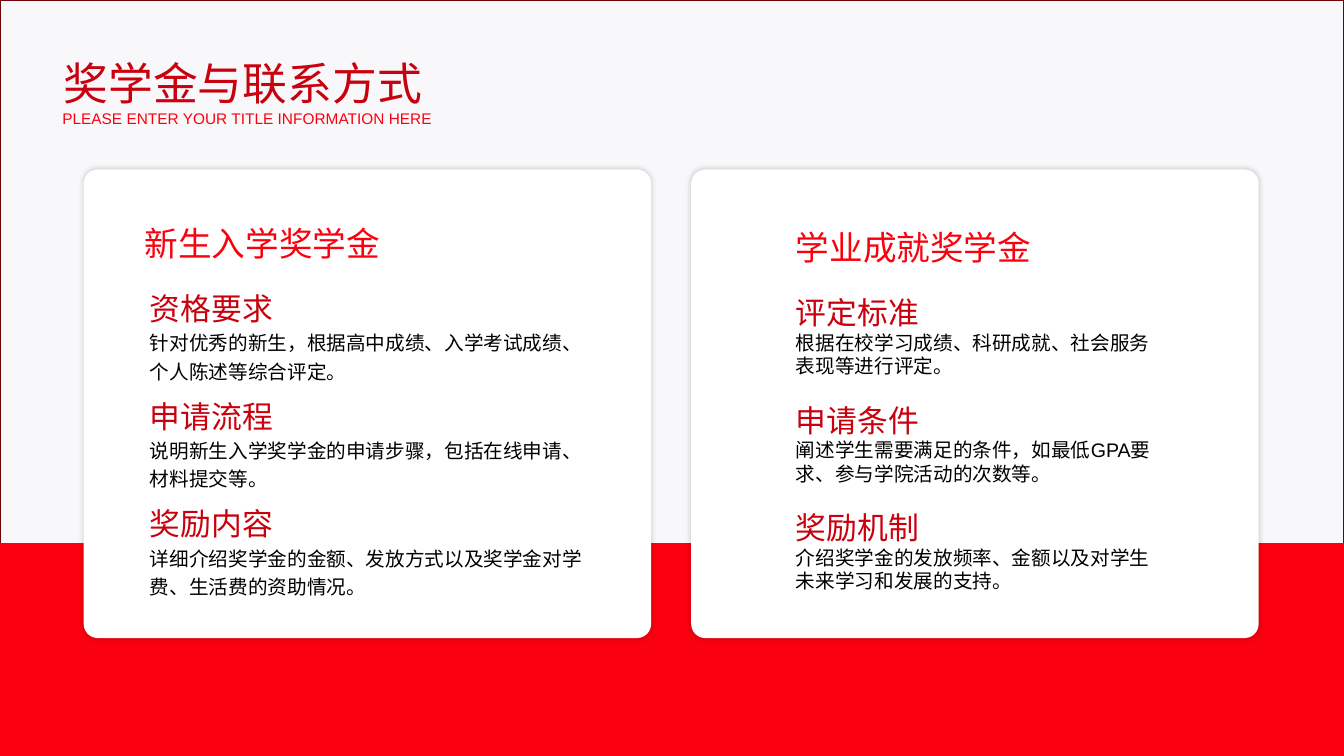
from dataclasses import dataclass

from lxml.etree import SubElement
from pptx import Presentation
from pptx.dml.color import RGBColor
from pptx.enum.shapes import MSO_SHAPE
from pptx.enum.text import MSO_ANCHOR, MSO_AUTO_SIZE, PP_ALIGN
from pptx.oxml import parse_xml
from pptx.oxml.ns import nsdecls, qn
from pptx.shapes.autoshape import Shape
from pptx.util import Cm, Pt

FONT = "Arial"
DEEP_RED = RGBColor(0xC9, 0x00, 0x0E)
RED = RGBColor(0xFB, 0x00, 0x0F)
FRAME_RED = RGBColor(0x6E, 0x00, 0x07)
PALE_GREY = RGBColor(0xE7, 0xEA, 0xF1)
WHITE = RGBColor(0xFF, 0xFF, 0xFF)
BLACK = RGBColor(0x00, 0x00, 0x00)

# All lengths are in centimetres
SLIDE_WIDTH, SLIDE_HEIGHT = 33.87, 19.05
CARD_TOP, CARD_WIDTH, CARD_HEIGHT = 4.27, 14.3, 11.81
SECTION_STEP = 2.71


@dataclass
class Line:
    text: str
    size: float
    color: RGBColor
    spacing: float = 1.0
    align: PP_ALIGN = PP_ALIGN.LEFT


@dataclass
class Section:
    heading: str
    detail: str


@dataclass
class Scholarship:
    card_left: float
    title: str
    title_left: float
    title_top: float
    section_left: float
    section_top: float
    section_width: float
    section_height: float
    detail_spacing: float
    sections: list[Section]


SCHOLARSHIPS = [
    Scholarship(2.11, "新生入学奖学金", 3.4, 5.28, 3.53, 6.99, 11.61, 2.77, 1.2, [
        Section("资格要求", "针对优秀的新生，根据高中成绩、入学考试成绩、个人陈述等综合评定。"),
        Section("申请流程", "说明新生入学奖学金的申请步骤，包括在线申请、材料提交等。"),
        Section("奖励内容", "详细介绍奖学金的金额、发放方式以及奖学金对学费、生活费的资助情况。"),
    ]),
    Scholarship(17.42, "学业成就奖学金", 19.81, 5.38, 19.81, 7.09, 9.55, 2.59, 1.0, [
        Section("评定标准", "根据在校学习成绩、科研成就、社会服务表现等进行评定。"),
        Section("申请条件", "阐述学生需要满足的条件，如最低GPA要求、参与学院活动的次数等。"),
        Section("奖励机制", "介绍奖学金的发放频率、金额以及对学生未来学习和发展的支持。"),
    ]),
]


def add_panel(shapes, kind: MSO_SHAPE, left: float, top: float,
              width: float, height: float, color: RGBColor) -> Shape:
    panel = shapes.add_shape(kind, Cm(left), Cm(top), Cm(width), Cm(height))
    panel.shadow.inherit = False
    panel.fill.solid()
    panel.fill.fore_color.rgb = color
    panel.line.fill.background()
    return panel


def add_card(shapes, left: float) -> None:
    card = add_panel(shapes, MSO_SHAPE.ROUNDED_RECTANGLE, left, CARD_TOP,
                     CARD_WIDTH, CARD_HEIGHT, WHITE)
    card.adjustments[0] = 0.03
    effects = card.element.spPr.find(qn("a:effectLst"))
    effects.append(parse_xml(
        f'<a:outerShdw {nsdecls("a")} blurRad="{Pt(4)}" dist="0" dir="5400000" '
        'algn="t" rotWithShape="0"><a:srgbClr val="000000">'
        '<a:alpha val="20000"/></a:srgbClr></a:outerShdw>'))


def add_text(shapes, left: float, top: float, width: float, height: float,
             lines: list[Line]) -> None:
    box = shapes.add_textbox(Cm(left), Cm(top), Cm(width), Cm(height))
    frame = box.text_frame
    frame.word_wrap = True
    frame.auto_size = MSO_AUTO_SIZE.SHAPE_TO_FIT_TEXT
    frame.vertical_anchor = MSO_ANCHOR.TOP
    for index, line in enumerate(lines):
        paragraph = frame.add_paragraph() if index else frame.paragraphs[0]
        paragraph.text = line.text
        paragraph.alignment = line.align
        paragraph.line_spacing = line.spacing
        paragraph.font.name = FONT
        paragraph.font.size = Pt(line.size)
        paragraph.font.color.rgb = line.color


def add_scholarship(shapes, item: Scholarship) -> None:
    add_text(shapes, item.title_left, item.title_top, 7, 1.37,
             [Line(item.title, 24, RED, 1.2)])
    for row, section in enumerate(item.sections):
        add_text(shapes, item.section_left, item.section_top + row * SECTION_STEP,
                 item.section_width, item.section_height,
                 [Line(section.heading, 22, DEEP_RED, 1.2),
                  Line(section.detail, 14, BLACK, item.detail_spacing)])


def main() -> None:
    presentation = Presentation()
    presentation.slide_width = Cm(SLIDE_WIDTH)
    presentation.slide_height = Cm(SLIDE_HEIGHT)
    shapes = presentation.slides.add_slide(presentation.slide_layouts[6]).shapes

    # Framed, translucent backdrop
    backdrop = add_panel(shapes, MSO_SHAPE.RECTANGLE, 0, 0,
                         SLIDE_WIDTH, SLIDE_HEIGHT, PALE_GREY)
    backdrop.line.color.rgb = FRAME_RED
    backdrop.line.width = Pt(1)
    tint = backdrop.element.spPr.find(qn("a:solidFill")).find(qn("a:srgbClr"))
    SubElement(tint, qn("a:alpha")).set("val", "29000")

    # Slide title
    add_text(shapes, 1.35, 1.27, 14.3, 1.63, [Line("奖学金与联系方式", 32, DEEP_RED)])
    add_text(shapes, 1.32, 2.62, 13.94, 0.74,
             [Line("PLEASE ENTER YOUR TITLE INFORMATION HERE", 11, RED,
                   align=PP_ALIGN.JUSTIFY)])

    # Red band with the cards over it
    add_panel(shapes, MSO_SHAPE.RECTANGLE, 0, 13.69, SLIDE_WIDTH, 5.36, RED)
    for scholarship in SCHOLARSHIPS:
        add_card(shapes, scholarship.card_left)
        add_scholarship(shapes, scholarship)

    presentation.save("out.pptx")


if __name__ == "__main__":
    main()
